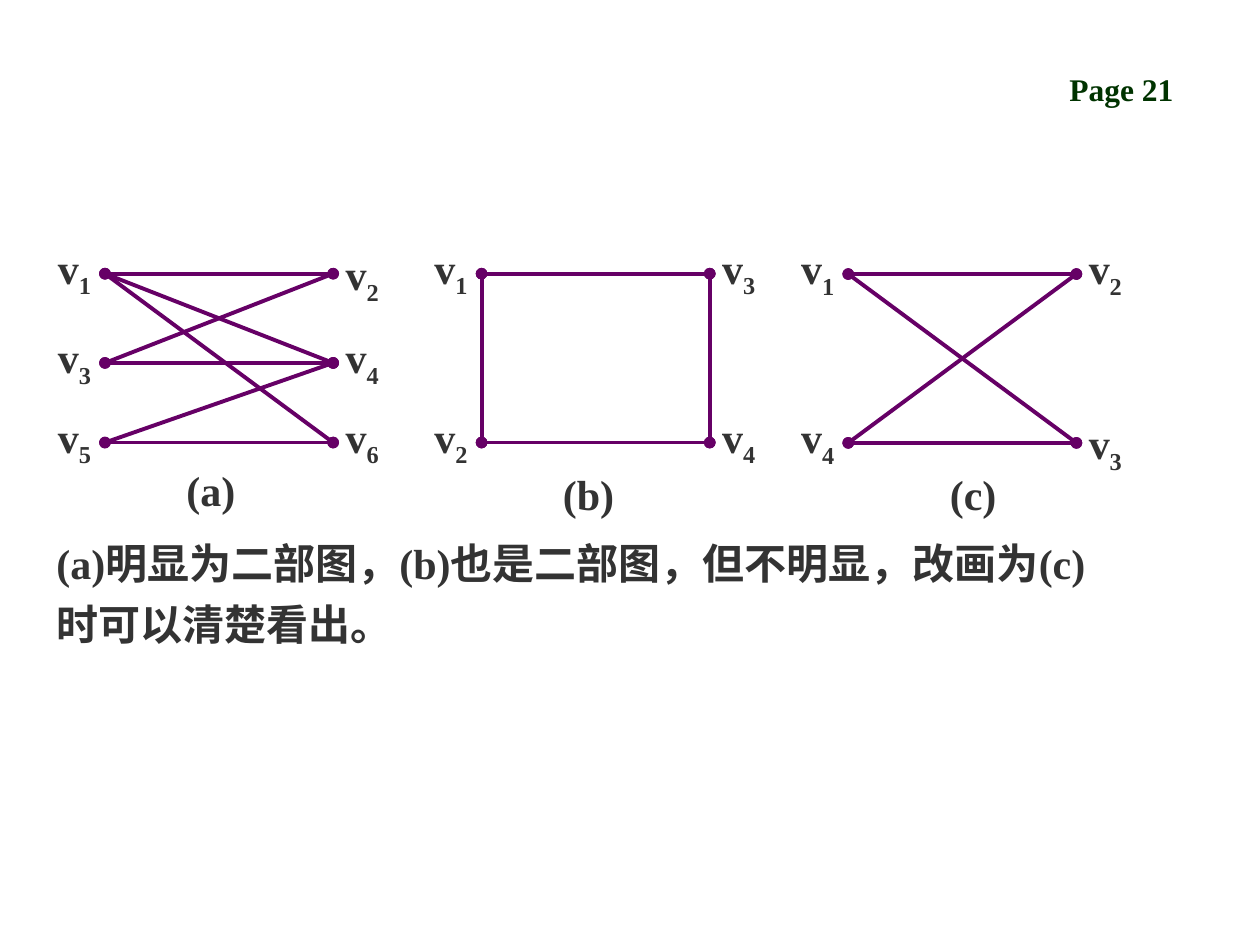
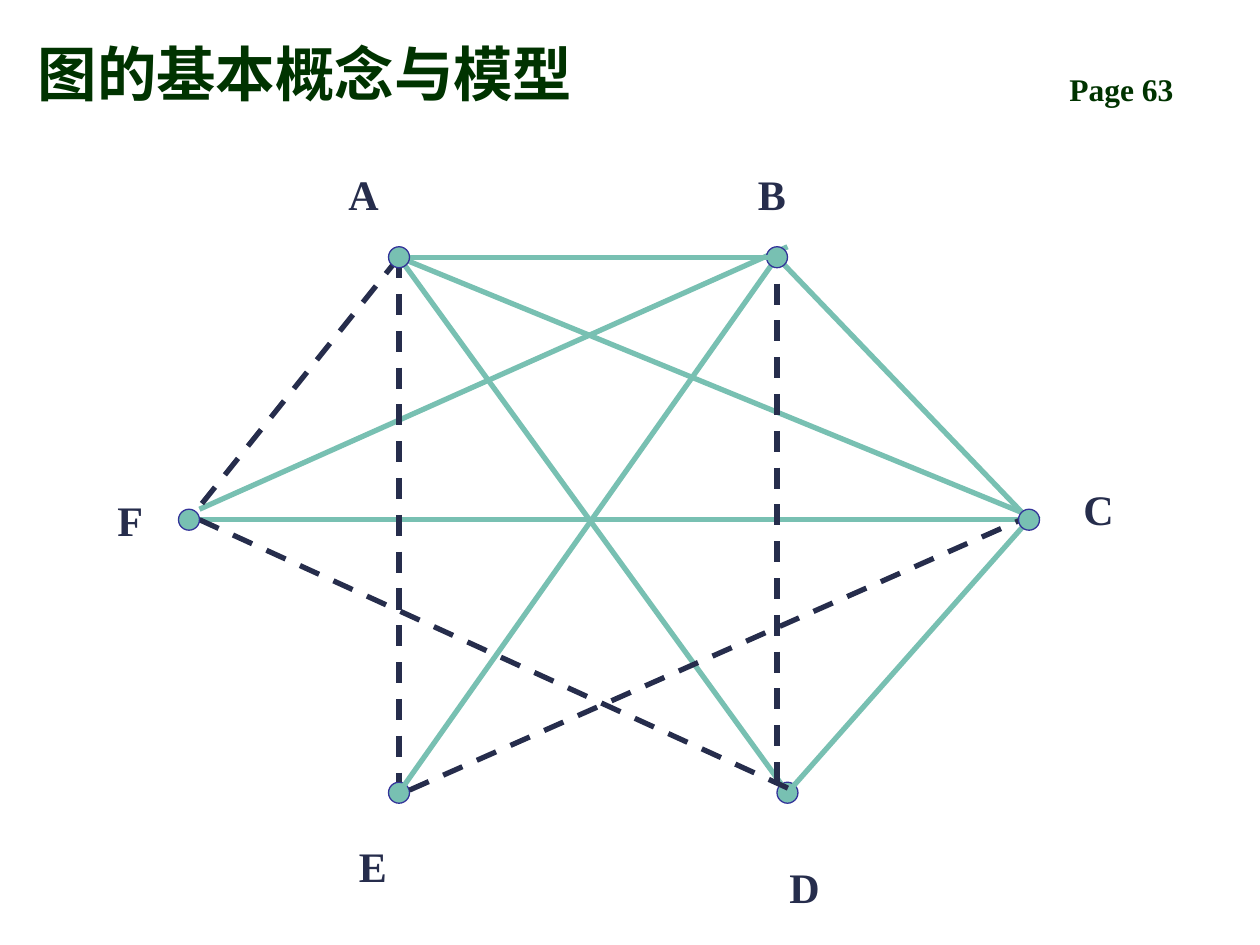
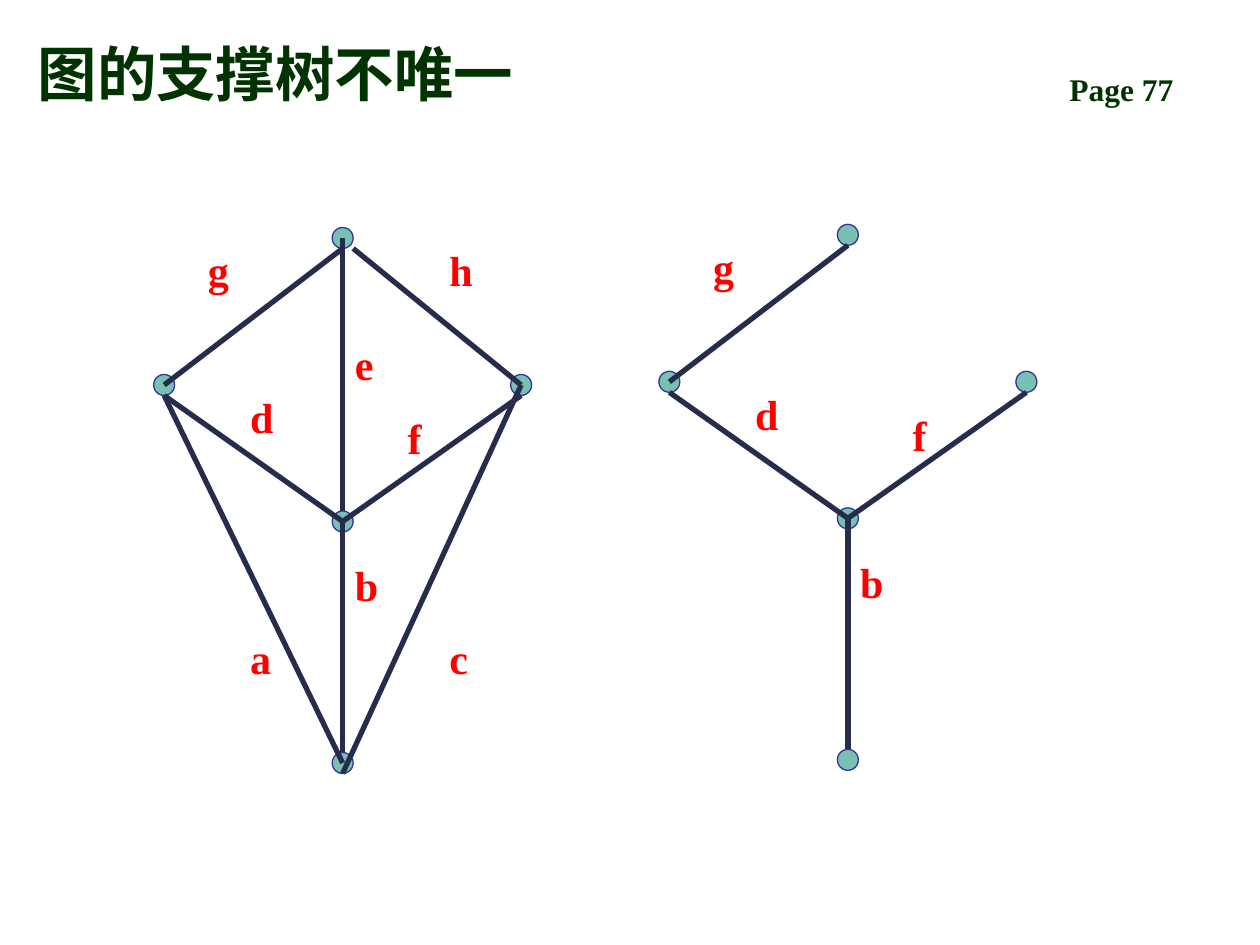
from lxml.etree import SubElement
from pptx import Presentation
from pptx.dml.color import RGBColor
from pptx.enum.dml import MSO_LINE
from pptx.enum.shapes import MSO_CONNECTOR, MSO_SHAPE
from pptx.enum.text import MSO_ANCHOR, MSO_AUTO_SIZE
from pptx.oxml.ns import qn
from pptx.util import Pt

FONT = "Times New Roman"
GREEN, GRAY, PURPLE = "003300", "333333", "660066"
TEAL, NAVY, BLUE, RED = "78C0B2", "262D4C", "333399", "FF0000"
NODE_SIZE = 12
LETTER_BOX = (30, 36)
HERE = (0, 0)

SIX_PEOPLE = {
    "A": (120, 0), "B": (336, 0), "C": (480, 150),
    "D": (342, 306), "E": (120, 306), "F": (0, 150),
}
PEOPLE_LABELS = {
    "A": (84, -54), "F": (-48, 132), "E": (90, 330),
    "D": (336, 342), "C": (504, 126), "B": (318, -54),
}
SOLID_EDGES = [
    ("B", HERE, "C", HERE), ("F", (6, 0), "C", HERE), ("C", HERE, "D", HERE),
    ("A", HERE, "C", (6, 0)), ("A", HERE, "D", HERE), ("B", HERE, "E", HERE),
    ("F", (6, -6), "B", (6, -6)),
]
DASHED_EDGES = [
    ("A", HERE, "F", HERE), ("F", (6, 0), "D", (6, 0)), ("A", HERE, "E", (0, -6)),
    ("B", (0, -6), "D", (-6, 0)), ("E", (6, -1.5), "C", (0, -2)),
]

TREE_NODES = {
    "top": (102, 0), "right": (204, 84), "left": (0, 84),
    "hub": (102, 162), "bottom": (102, 300),
}
TREE_EDGES = {
    "g": ("left", HERE, "top", (0, 6)),
    "h": ("top", (6, 6), "right", HERE),
    "e": ("top", HERE, "hub", (0, -6)),
    "d": ("left", (0, 6), "hub", HERE),
    "f": ("right", (0, 6), "hub", HERE),
    "b": ("hub", HERE, "bottom", (0, -6)),
    "a": ("left", (0, 6), "bottom", HERE),
    "c": ("right", HERE, "bottom", (0, 6)),
}
TREE_LABELS = {
    "a": (42, 222), "b": (102, 180), "c": (156, 222), "f": (132, 96),
    "e": (102, 54), "d": (42, 84), "h": (156, 0), "g": (18, 0),
}


def color(value):
    """Turn a hex string into a colour."""
    return RGBColor.from_string(value)


def shift(point, offset):
    """Move a point by an offset."""
    return point[0] + offset[0], point[1] + offset[1]


def add_text(shapes, text, left, top, width, height, *, size=24, ink=GRAY,
             subscript="", spacing=1.0, bottom=False):
    """Add a bold text box, with an optional subscript after the text."""
    box = shapes.add_textbox(Pt(left), Pt(top), Pt(width), Pt(height))
    frame = box.text_frame
    frame.word_wrap = True
    frame.auto_size = MSO_AUTO_SIZE.NONE if bottom else MSO_AUTO_SIZE.SHAPE_TO_FIT_TEXT
    frame.vertical_anchor = MSO_ANCHOR.BOTTOM if bottom else MSO_ANCHOR.TOP
    para = frame.paragraphs[0]
    para.line_spacing = spacing
    for piece in filter(None, (text, subscript)):
        span = para.add_run()
        span.text = piece
        span.font.name = FONT
        span.font.size = Pt(size)
        span.font.bold = True
        span.font.color.rgb = color(ink)
    if subscript:
        span._r.get_or_add_rPr().set("baseline", "-25000")


def add_edge(shapes, start, end, ink, *, weight=3, dashed=False, dots=False):
    """Draw a straight line, optionally dashed or with round ends."""
    edge = shapes.add_connector(MSO_CONNECTOR.STRAIGHT, *map(Pt, (*start, *end)))
    edge.line.color.rgb = color(ink)
    edge.line.width = Pt(weight)
    if dashed:
        edge.line.dash_style = MSO_LINE.DASH
    if dots:
        for tag in ("a:headEnd", "a:tailEnd"):
            SubElement(edge.line._get_or_add_ln(), qn(tag), type="oval")
    SubElement(edge._element.spPr, qn("a:effectLst"))


def add_node(shapes, center):
    """Draw a round node about its centre."""
    left, top = shift(center, (-NODE_SIZE / 2, -NODE_SIZE / 2))
    node = shapes.add_shape(MSO_SHAPE.OVAL, Pt(left), Pt(top), Pt(NODE_SIZE), Pt(NODE_SIZE))
    node.shadow.inherit = False
    node.fill.solid()
    node.fill.fore_color.rgb = color(TEAL)
    node.line.color.rgb = color(BLUE)
    node.line.width = Pt(0.75)


def add_links(shapes, nodes, links, origin, ink, **style):
    """Draw edges between named nodes, each end nudged by its offset."""
    for first, first_nudge, second, second_nudge in links:
        start = shift(shift(origin, nodes[first]), first_nudge)
        end = shift(shift(origin, nodes[second]), second_nudge)
        add_edge(shapes, start, end, ink, **style)


def add_page(deck, number, title=""):
    """Add a page with its number and title."""
    page = deck.slides.add_slide(deck.slide_layouts[6])
    add_text(page.shapes, f"Page {number}", 604, 36.7, 102, 28.8, size=18, ink=GREEN)
    if title:
        add_text(page.shapes, title, 14.4, 9.4, 578, 56, size=34, ink=GREEN, bottom=True)
    return page


def vertex_graph(page, left, top, vertices, edges, caption, caption_at):
    """Draw numbered vertices with their edges and a caption below."""
    figure = page.shapes.add_group_shape().shapes
    origin = (left, top)
    for first, second in edges:
        start, end = (shift(origin, vertices[name][:2]) for name in (first, second))
        add_edge(figure, start, end, PURPLE, weight=2.25, dots=True)
    for name, (x, y, drop) in vertices.items():
        label_left = left + x - (0 if x else 34)
        add_text(figure, "v", label_left, top + y + drop - 28, 62.6, 41.8,
                 subscript=str(name), spacing=1.2)
    add_text(page.shapes, caption, *shift(origin, caption_at), 113, 41.8, spacing=1.2)


def bipartite_page(deck):
    """Build the page that compares three bipartite graphs."""
    page = add_page(deck, 21)
    right, middle, low = 130.4, 51, 96.5
    vertex_graph(
        page, 60, 156.4,
        {1: (0, 0, 0), 3: (0, middle, 0), 5: (0, low, 0),
         2: (right, 0, 3.5), 4: (right, middle, 0), 6: (right, low, 0)},
        [(1, 2), (3, 4), (5, 6), (1, 6), (1, 4), (2, 3), (4, 5)],
        "(a)", (39.4, 100))
    vertex_graph(
        page, 275.2, 156.4,
        {1: (0, 0, 0), 2: (0, low, 0), 3: (right, 0, 0), 4: (right, low, 0)},
        [(1, 3), (2, 4), (1, 2), (3, 4)],
        "(b)", (39.4, 102))
    vertex_graph(
        page, 484.7, 156.6,
        {1: (0, 0, 0), 4: (0, low, 0), 2: (right, 0, 0), 3: (right, low, 3.5)},
        [(1, 2), (4, 3), (1, 3), (2, 4)],
        "(c)", (51, 102))
    add_text(page.shapes, "(a)明显为二部图，(b)也是二部图，但不明显，改画为(c)时可以清楚看出。",
             25.2, 298, 618, 76.3, spacing=1.2)


def six_people_graph(page, left, top):
    """Draw six nodes joined by solid and dashed edges."""
    shapes, origin = page.shapes, (left, top)

    def draw_nodes(names):
        """Draw the named nodes in order."""
        for name in names:
            add_node(shapes, shift(origin, SIX_PEOPLE[name]))

    draw_nodes("ED")
    for name, place in PEOPLE_LABELS.items():
        add_text(shapes, name, *shift(origin, place), *LETTER_BOX, ink=NAVY)
    add_links(shapes, SIX_PEOPLE, SOLID_EDGES, origin, TEAL)
    add_links(shapes, SIX_PEOPLE, DASHED_EDGES, origin, NAVY, dashed=True)
    draw_nodes("BC")
    add_links(shapes, SIX_PEOPLE, [("A", HERE, "B", HERE)], origin, TEAL)
    draw_nodes("AF")


def tree_graph(page, left, top, names):
    """Draw the five nodes and the named edges between them."""
    figure = page.shapes.add_group_shape().shapes
    origin = (left, top)
    for center in TREE_NODES.values():
        add_node(figure, shift(origin, center))
    add_links(figure, TREE_NODES, [TREE_EDGES[name] for name in names], origin, NAVY)
    for name in names:
        add_text(figure, name, *shift(origin, TREE_LABELS[name]), *LETTER_BOX, ink=RED)


def main():
    """Build and save the deck."""
    deck = Presentation()
    deck.slide_width, deck.slide_height = Pt(720), Pt(540)
    bipartite_page(deck)
    six_people_graph(add_page(deck, 63, "图的基本概念与模型"), 108, 147)
    page = add_page(deck, 77, "图的支撑树不唯一")
    tree_graph(page, 93.8, 136, "ghedfbac")
    tree_graph(page, 382.5, 134.2, "gdfb")
    deck.save("out.pptx")


if __name__ == "__main__":
    main()
